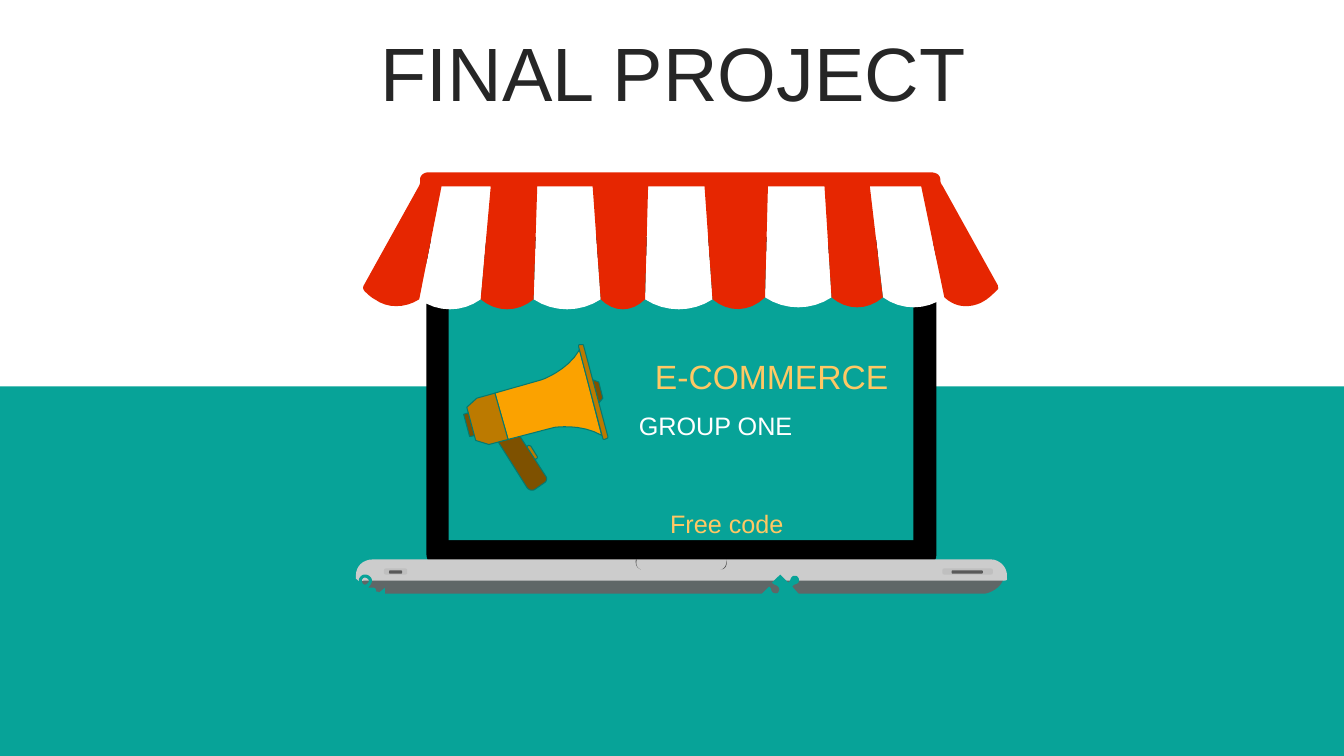
import pptx
import pptx.util
import pptx.dml.color
import pptx.enum.shapes
import pptx.enum.text

Pt = pptx.util.Pt
RGBColor = pptx.dml.color.RGBColor
MSO_SHAPE = pptx.enum.shapes.MSO_SHAPE
PP_ALIGN = pptx.enum.text.PP_ALIGN

TEAL = RGBColor(0x07, 0xA3, 0x98)
DARK_TEAL = RGBColor(0x05, 0x79, 0x70)
WHITE = RGBColor(0xFF, 0xFF, 0xFF)
BLACK = RGBColor(0x00, 0x00, 0x00)
INK = RGBColor(0x26, 0x26, 0x26)
SHADE = RGBColor(0x5F, 0x67, 0x67)
SILVER = RGBColor(0xCC, 0xCC, 0xCC)
PORT = RGBColor(0xBF, 0xBF, 0xBF)
SLOT = RGBColor(0x59, 0x59, 0x59)
NOTCH = RGBColor(0x4D, 0x4D, 0x4D)
RED = RGBColor(0xE6, 0x26, 0x01)
ORANGE = RGBColor(0xFB, 0xA2, 0x00)
OCHRE = RGBColor(0xBC, 0x7A, 0x00)
BROWN = RGBColor(0x7E, 0x51, 0x00)
YELLOW = RGBColor(0xFF, 0xC8, 0x64)

UNITS_PER_POINT = 100
CURVE_STEPS = 8

deck = pptx.Presentation()
deck.slide_width = Pt(960)
deck.slide_height = Pt(540)
slide = deck.slides.add_slide(deck.slide_layouts[6])


def add_text(text, left, top, width, height, size, color,
             align=PP_ALIGN.JUSTIFY, line_spacing=None, space_before=0):
    box = slide.shapes.add_textbox(Pt(left), Pt(top), Pt(width), Pt(height))
    frame = box.text_frame
    frame.word_wrap = True
    frame.vertical_anchor = pptx.enum.text.MSO_ANCHOR.MIDDLE
    paragraph = frame.paragraphs[0]
    paragraph.alignment = align
    paragraph.line_spacing = line_spacing
    paragraph.space_before = Pt(space_before)
    run = paragraph.add_run()
    run.text = text
    run.font.name = "Arial"
    run.font.size = Pt(size)
    run.font.color.rgb = color


def add_outline(trace, fill, edge=None):
    builder = None
    for contour in trace.split("M")[1:]:
        commands = contour.replace("Z", "").replace("L", "|").replace("C", "|").split("|")
        start, *steps = [[float(n) * UNITS_PER_POINT for n in c.split()] for c in commands]
        x, y = start
        points = []
        for step in steps:
            if len(step) == 2:
                points.append(tuple(step))
            else:
                x1, y1, x2, y2, x3, y3 = step
                for i in range(1, CURVE_STEPS + 1):
                    t = i / CURVE_STEPS
                    a, b, c, d = (1 - t) ** 3, 3 * t * (1 - t) ** 2, 3 * t * t * (1 - t), t ** 3
                    points.append((a * x + b * x1 + c * x2 + d * x3,
                                   a * y + b * y1 + c * y2 + d * y3))
            x, y = points[-1]
        if builder is None:
            builder = slide.shapes.build_freeform(*start, scale=Pt(1) / UNITS_PER_POINT)
        else:
            builder.move_to(*start)
        builder.add_line_segments(points, close=True)
    shape = builder.convert_to_shape()
    shape.shadow.inherit = False
    shape.fill.solid()
    shape.fill.fore_color.rgb = fill
    if edge is None:
        shape.line.fill.background()
    else:
        shape.line.color.rgb = edge
        shape.line.width = Pt(0.75)


laptop_shadow = (
    "M 703.4 424.1 C 703.4 424.1 712.8 422.6 716.4 414.7 C 716.4 412.6 714.2 410.4 712.1 410.4 "
    "L 267.1 412.6 L 261.4 412.6 C 259.2 412.6 257 414 257 416.2 "
    "C 259.9 421.2 266.4 423.4 269.3 423.4 L 270.7 424.1 Z")
laptop_base = (
    "M 266.4 399.6 L 707.8 399.6 C 713.5 399.6 719.3 404.6 719.3 411.1 L 719.3 413.3 "
    "C 719.3 413.3 720 415.4 715 414.7 L 260 414.7 C 257 415.4 254.2 415.4 254.2 413.3 "
    "L 254.2 411.1 C 254.2 404.6 259.2 399.6 266.4 399.6 Z")
lid_notch = (
    "M 454.3 399.6 L 455 399.6 C 455 399.6 452.9 405.4 457.9 406.8 "
    "C 452.9 405.4 454.3 399.6 454.3 399.6 Z "
    "M 519.1 399.6 C 519.8 405.4 517 406.8 514.8 406.8 L 515.5 406.8 "
    "C 517 406.1 519.1 404.6 519.1 399.6 Z")

blocks = [
    (0, 276, 960, 264, TEAL, 0),
    laptop_shadow,
    (304.6, 169.2, 364.3, 236.2, BLACK, 0.04),
    (320.4, 184.3, 332, 201.6, TEAL, 0),
    laptop_base,
    lid_notch,
    (274.3, 406.1, 16.6, 4.3, PORT, 0.28),
    (277.9, 407.5, 9.4, 2.2, SLOT, 0.28),
    (673.2, 406.1, 36, 4.3, PORT, 0.28),
    (679.7, 407.5, 22.3, 2.2, SLOT, 0.28),
]
laptop_fills = {laptop_shadow: SHADE, laptop_base: SILVER, lid_notch: NOTCH}
for block in blocks:
    if block in laptop_fills:
        add_outline(block, laptop_fills[block])
        continue
    left, top, width, height, fill, rounding = block
    preset = MSO_SHAPE.ROUNDED_RECTANGLE if rounding else MSO_SHAPE.RECTANGLE
    panel = slide.shapes.add_shape(preset, Pt(left), Pt(top), Pt(width), Pt(height))
    if rounding:
        panel.adjustments[0] = rounding
    panel.shadow.inherit = False
    panel.fill.solid()
    panel.fill.fore_color.rgb = fill
    panel.line.fill.background()

add_text("FINAL PROJECT", 25.2, 26.6, 911.5, 56.9, 54, INK,
         align=PP_ALIGN.CENTER, line_spacing=0.9, space_before=10)

camera_reels = (
    "M 252.7 415.4 C 252.7 415.4 252 416.2 252 416.9 C 252 417.6 252.7 417.6 252.7 417.6 "
    "C 253.4 417.6 254.2 417.6 254.2 416.9 C 254.2 416.2 253.4 415.4 252.7 415.4 Z "
    "M 260.6 412.6 C 259.2 412.6 258.5 414 258.5 414.7 C 258.5 416.2 259.2 417.6 260.6 417.6 "
    "C 262.1 417.6 263.5 416.2 263.5 414.7 C 263.5 414 262.1 412.6 260.6 412.6 Z")
camera_body = (
    "M 260.6 410.4 C 263.5 410.4 265.7 412.6 265.7 414.7 C 265.7 416.9 264.2 418.3 262.8 419.8 "
    "L 266.4 419.8 C 267.8 419.8 268.6 420.5 268.6 421.9 L 268.6 422.6 L 270 422.6 "
    "L 270.7 423.4 L 275 419.8 L 275 434.2 L 270.7 430.6 L 268.6 430.6 "
    "L 268.6 432 C 268.6 433.4 267.8 434.2 266.4 434.2 L 249.8 434.2 "
    "C 248.4 434.2 247 433.4 247 432 L 247 421.9 C 247 420.5 248.4 419.8 249.8 419.8 L 252 419.8 "
    "C 250.6 419 249.8 417.6 249.8 416.9 C 249.8 414.7 251.3 413.3 252.7 413.3 "
    "C 254.9 413.3 256.3 414.7 256.3 416.9 C 256.3 417.6 255.6 419 254.2 419.8 L 258.5 419.8 "
    "C 257 418.3 256.3 416.9 256.3 414.7 C 256.3 412.6 258.5 410.4 260.6 410.4 Z")
puzzle_piece = (
    "M 569.5 411.8 C 571 413.3 571 414.7 570.2 416.2 C 568.8 417.6 567.4 416.9 565.9 419 "
    "L 571 424.8 L 565.9 430.6 C 563.8 429.1 564.5 427 563 426.2 "
    "C 561.6 424.8 560.2 425.5 558.7 426.2 C 558 427 557.3 429.1 558.7 430.6 "
    "C 560.9 432 561.6 430.6 563 432.7 L 557.3 438.5 L 551.5 432.7 "
    "C 549.4 434.9 550.8 434.9 549.4 437 C 547.9 438.5 545.8 437.8 545 437 "
    "C 543.6 436.3 543.6 434.2 545 433.4 C 545.8 431.3 547.9 432 548.6 430.6 "
    "L 543.6 424.8 L 549.4 419 C 551.5 420.5 550.1 421.9 552.2 423.4 "
    "C 553.7 424.1 555.1 424.1 555.8 423.4 C 556.6 421.9 557.3 420.5 555.8 419 "
    "C 554.4 417.6 553.7 418.3 551.5 416.2 L 557.3 410.4 L 563 416.2 "
    "C 565.2 414.7 563.8 414 565.9 411.8 C 566.6 411.1 568.8 411.1 569.5 411.8 Z")
for icon in (f"{camera_reels} {camera_body}", puzzle_piece):
    add_outline(icon, TEAL)

trigger = (
    "M 383 327.6 L 381.6 329 C 380.9 329 380.2 329 380.2 328.3 L 375.1 321.1 "
    "C 375.1 320.4 375.1 319.7 375.8 319.7 L 377.3 318.2 C 378 318.2 378.7 318.2 379.4 319 "
    "L 383.8 326.2 C 383.8 326.9 383.8 327.6 383 327.6 Z")
front_knob = "M 421.9 270.7 L 427 288.7 L 430.6 284.4 L 427.7 272.9 Z"
handle = (
    "M 388.8 344.9 L 381.6 349.9 C 379.4 350.6 378 349.9 376.6 348.5 L 352.1 309.6 "
    "C 351.4 308.2 351.4 306 352.8 305.3 L 360.7 300.2 C 362.2 299.5 364.3 299.5 365 301.7 "
    "L 390.2 340.6 C 391 342 390.2 344.2 388.8 344.9 Z")
horn = (
    "M 386.6 271.4 L 353.5 280.8 L 362.9 313.9 L 396 305.3 C 396 305.3 415.4 302.4 429.8 311 "
    "L 414 249.8 C 405.4 265 386.6 271.4 386.6 271.4 Z")
rim = (
    "M 433.4 313.2 L 432 313.9 C 431.3 313.9 430.6 313.9 430.6 313.2 L 413.3 247.7 "
    "C 413.3 247 413.3 246.2 414 246.2 L 415.4 246.2 C 416.2 246.2 416.9 246.2 416.9 247 "
    "L 434.2 311.8 C 434.2 312.5 434.2 313.2 433.4 313.2 Z")
back_knob = "M 331.2 295.9 L 338.4 293.8 L 343.4 310.3 L 335.5 311.8 Z"
collar = "M 340.6 284.4 L 333.4 290.9 L 339.8 314.6 L 349.2 317.5 L 362.9 313.9 L 353.5 280.8 Z"
for part, fill in [(trigger, OCHRE), (front_knob, BROWN), (handle, BROWN), (horn, ORANGE),
                   (rim, OCHRE), (back_knob, BROWN), (collar, OCHRE)]:
    add_outline(part, fill, edge=DARK_TEAL)

STRIPE_TOP = 133.2
SCALLOP = 9.5
stripes = [
    (315.4, 350.6, 299.5, 343.4, 213.8),
    (383.8, 423.4, 381.2, 429.1, 213.8),
    (463, 503.3, 460.8, 509, 213.8),
    (548.6, 589, 546.5, 594, 212.4),
    (621.4, 658.1, 630.7, 674.6, 212.4),
]
canopy = (
    "M 306 123.1 L 664.6 123.1 C 669.6 123.1 671.8 125.3 671.8 128.9 "
    "C 671.8 130.3 672.5 131.8 673.2 132.5 L 712.8 203.8 C 712.8 205.2 713.5 205.9 712.8 206.6 "
    "C 707.8 211.7 702.7 216.7 694.8 218.2 C 687.6 219.6 681.1 218.2 674.6 212.4 ")
previous_left = None
for top_left, top_right, hem_left, hem_right, hem in reversed(stripes):
    dip = hem + SCALLOP
    if previous_left is not None:
        reach = 0.3 * (previous_left - hem_right)
        canopy += f"C {previous_left - reach} {dip} {hem_right + reach} {dip} {hem_right} {hem} "
    canopy += f"L {top_right} {STRIPE_TOP} L {top_left} {STRIPE_TOP} L {hem_left} {hem} "
    reach = 0.3 * (hem_right - hem_left)
    add_outline(f"M {top_left} {STRIPE_TOP} L {top_right} {STRIPE_TOP} L {hem_right} {hem} "
                f"C {hem_right - reach} {dip} {hem_left + reach} {dip} {hem_left} {hem} Z", WHITE)
    previous_left = hem_left
canopy += (
    "C 289.4 220.3 276.5 220.3 267.8 213.8 C 265 212.4 262.8 210.2 260.6 208.1 "
    "C 259.2 206.6 259.2 205.2 259.9 203.8 L 299.5 132.5 C 300.2 131 300.2 130.3 300.2 128.9 "
    "C 299.5 126 302.4 123.1 306 123.1 Z")
add_outline(canopy, RED)

add_text("GROUP ONE", 449.3, 289.4, 201.6, 28.8, 18, WHITE)
add_text("E-COMMERCE", 460.8, 250.6, 185, 36, 24, YELLOW)
add_text("Free code", 471.6, 359.3, 185, 28.8, 18, YELLOW)

deck.save("out.pptx")
